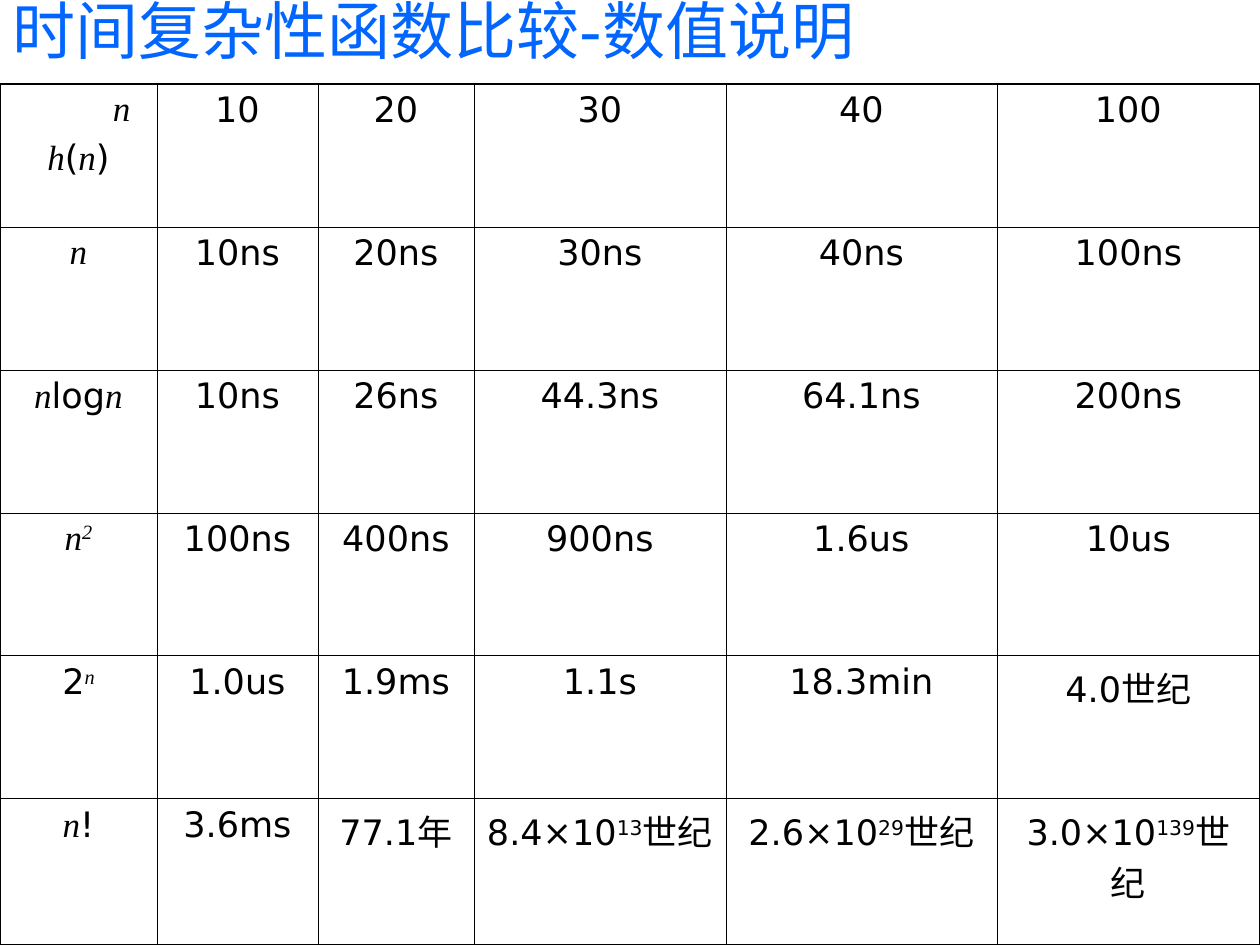
from lxml import etree
from pptx import Presentation
from pptx.dml.color import RGBColor
from pptx.enum.text import MSO_ANCHOR, MSO_AUTO_SIZE, PP_ALIGN
from pptx.oxml.ns import qn
from pptx.util import Pt

BOTTOM = MSO_ANCHOR.BOTTOM
TOP = MSO_ANCHOR.TOP
NO_FIT = MSO_AUTO_SIZE.NONE
LEFT = PP_ALIGN.LEFT
CENTER = PP_ALIGN.CENTER

WIDTH, HEIGHT = 1260, 945
EMU_PER_PX = 914400 / 126
COLORS = {"title": "0066FF", "text": "000000", "border": "000000"}
SANS, SERIF = "DejaVu Sans", "Times New Roman"
OUTER_LINE, INNER_LINE = Pt(1.08), Pt(0.45)

# Run styles: variable (italic serif), superscript, or both
VAR, SUP, VAR_SUP = "v", "s", "vs"
N = ("n", VAR)


def emu(px):
    return round(px * EMU_PER_PX)


def centuries(mantissa, exponent):
    return [(f"{mantissa}×10", ""), (exponent, SUP), ("世纪", "")]


class SlideBuilder:
    def __init__(self, prs):
        self.slide = prs.slides.add_slide(prs.slide_layouts[5])

    def style_run(self, run, size, color, style=""):
        font = run.font
        font.size = Pt(size)
        font.name = SERIF if VAR in style else SANS
        font.italic = VAR in style
        font.color.rgb = RGBColor.from_string(COLORS[color])
        if SUP in style:
            run._r.get_or_add_rPr().set("baseline", "30000")

    def title(self, text, left, top, width, height):
        heading = self.slide.shapes.title
        heading.left, heading.top = emu(left), emu(top)
        heading.width, heading.height = emu(width), emu(height)
        frame = heading.text_frame
        frame.text = text
        frame.auto_size = NO_FIT
        frame.word_wrap = True
        frame.vertical_anchor = BOTTOM
        paragraph = frame.paragraphs[0]
        paragraph.alignment = LEFT
        self.style_run(paragraph.runs[0], 36, "title")

    def fill_paragraph(self, paragraph, content):
        """Content is plain text or a list of (text, style) runs."""
        paragraph.alignment = CENTER
        runs = [(content, "")] if isinstance(content, str) else content
        for text, style in runs:
            run = paragraph.add_run()
            run.text = text
            self.style_run(run, 20, "text", style)

    def borders(self, cell, outer_sides):
        properties = cell._tc.get_or_add_tcPr()
        for side in "LRTB":
            width = OUTER_LINE if side in outer_sides else INNER_LINE
            line = etree.SubElement(properties, qn(f"a:ln{side}"), w=str(width))
            fill = etree.SubElement(line, qn("a:solidFill"))
            etree.SubElement(fill, qn("a:srgbClr"), val=COLORS["border"])

    def table(self, rows, left, top, col_widths, row_heights):
        frame = self.slide.shapes.add_table(
            len(rows), len(col_widths), emu(left), emu(top),
            emu(sum(col_widths)), emu(sum(row_heights)))
        table = frame.table
        table.first_row = table.horz_banding = False
        for column, width in zip(table.columns, col_widths):
            column.width = emu(width)
        for row, height in zip(table.rows, row_heights):
            row.height = emu(height)
        last_row, last_col = len(rows) - 1, len(col_widths) - 1
        for r, row in enumerate(rows):
            for c, content in enumerate(row):
                cell = table.cell(r, c)
                cell.vertical_anchor = TOP
                edges = {"L": c == 0, "R": c == last_col,
                         "T": r == 0, "B": r == last_row}
                self.borders(cell, [side for side, on in edges.items() if on])
                cell.fill.background()
                self.fill_paragraph(cell.text_frame.paragraphs[0], content)
        return table

    def corner(self, cell, row_label, indent):
        """Shift the column label right and put the row label beneath it."""
        column_label = cell.text_frame.paragraphs[0]
        column_label._p.get_or_add_pPr().set("marL", str(emu(indent)))
        below = cell.text_frame.add_paragraph()
        below.space_before = Pt(5)
        self.fill_paragraph(below, row_label)


def main():
    prs = Presentation()
    prs.slide_width, prs.slide_height = emu(WIDTH), emu(HEIGHT)
    builder = SlideBuilder(prs)

    # Heading
    builder.title("时间复杂性函数比较-数值说明", 0, 0, 1102, 73)

    # Running time of each complexity function by input size
    running_times = [
        [[N], "10", "20", "30", "40", "100"],
        [[N], "10ns", "20ns", "30ns", "40ns", "100ns"],
        [[N, ("log", ""), N], "10ns", "26ns", "44.3ns", "64.1ns", "200ns"],
        [[N, ("2", VAR_SUP)], "100ns", "400ns", "900ns", "1.6us", "10us"],
        [[("2", ""), ("n", VAR_SUP)],
         "1.0us", "1.9ms", "1.1s", "18.3min", "4.0世纪"],
        [[N, ("!", "")], "3.6ms", "77.1年", centuries("8.4", "13"),
         centuries("2.6", "29"), centuries("3.0", "139")],
    ]
    comparison = builder.table(running_times, 0, 84,
                               [157, 161, 156, 252, 271, 263],
                               [143] * 5 + [146])
    builder.corner(comparison.cell(0, 0),
                   [("h", VAR), ("(", ""), N, (")", "")], 86)

    prs.save("out.pptx")


if __name__ == "__main__":
    main()
